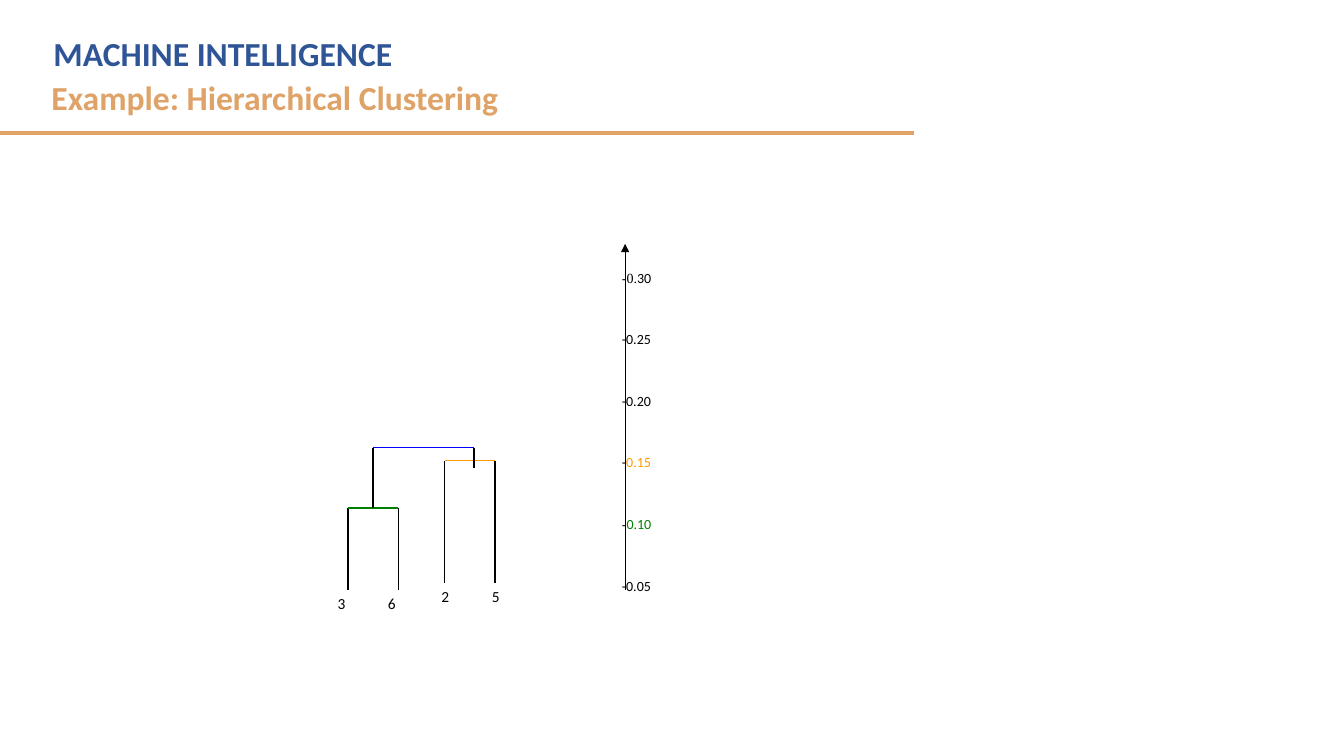
from lxml import etree
from pptx import Presentation
from pptx.dml.color import RGBColor
from pptx.enum.shapes import MSO_CONNECTOR
from pptx.enum.text import MSO_ANCHOR, MSO_AUTO_SIZE, PP_ALIGN
from pptx.oxml.ns import qn
from pptx.util import Inches, Pt

STRAIGHT = MSO_CONNECTOR.STRAIGHT
TOP = MSO_ANCHOR.TOP
LEFT = PP_ALIGN.LEFT
NO_AUTOFIT = MSO_AUTO_SIZE.NONE

BLACK, ORANGE, GREEN, BLUE = "000000", "FF9900", "008000", "0000FF"
NAVY, SAND = "2F5597", "DFA267"
SANS, SERIF = "Calibri", "Times New Roman"

TITLE = ("MACHINE INTELLIGENCE", NAVY, (0.43, 0.28, 8.2, 0.5))
SUBTITLE = ("Example: Hierarchical Clustering", SAND, (0.41, 0.71, 8.75, 0.5))

# Each tick label is a list of (text, font, colour)
SCALE = [
    [("-0.", SERIF, BLACK), ("30", SANS, BLACK)],
    [("-0.25", SANS, BLACK)],
    [("-0.20", SANS, BLACK)],
    [("-", SANS, BLACK), ("0.15", SANS, ORANGE)],
    [("-", SERIF, BLACK), ("0.10", SANS, GREEN)],
    [("-0.05", SANS, BLACK)],
]
TICK_GAP = 32

# Leaf names, label left, first leg x, merge height y, foot y, bar colour
PAIRS = [
    (("3", "6"), 3.25, 3.45, 5.04, 5.85, GREEN),
    (("2", "5"), 4.28, 4.41, 4.57, 5.78, ORANGE),
]
LEAF_GAP = 0.5
# Left x, right x, top y, left foot y, right foot y
ROOT = (3.7, 4.7, 4.44, 5.04, 4.64)


def color(value):
    return RGBColor.from_string(value)


def style(font, size, name, value, bold=False):
    font.size, font.name, font.bold = Pt(size), name, bold
    font.color.rgb = color(value)


def add_line(slide, start, end, value=BLACK, width=1, arrow=False):
    line = slide.shapes.add_connector(
        STRAIGHT, *(Inches(number) for number in (*start, *end)))
    line.line.color.rgb = color(value)
    line.line.width = Pt(width)
    if arrow:
        outline = line.line._get_or_add_ln()
        etree.SubElement(outline, qn("a:tailEnd"), type="triangle")
    etree.SubElement(line._element.spPr, qn("a:effectLst"))


def add_text_box(slide, left, top, width, height):
    box = slide.shapes.add_textbox(
        *(Inches(number) for number in (left, top, width, height)))
    box.text_frame.word_wrap = True
    return box.text_frame


def fill_heading(placeholder, text, value, position):
    placeholder.left, placeholder.top, placeholder.width, placeholder.height = (
        Inches(number) for number in position)
    frame = placeholder.text_frame
    frame.text = text
    frame.auto_size = NO_AUTOFIT
    frame.vertical_anchor = TOP
    paragraph = frame.paragraphs[0]
    paragraph.alignment = LEFT
    paragraph.space_before = Pt(0)
    style(paragraph.font, 24, SANS, value, bold=True)


def add_scale(slide):
    frame = add_text_box(slide, 6.07, 2.62, 0.6, 3.4)
    for index, runs in enumerate(SCALE):
        paragraph = frame.add_paragraph() if index else frame.paragraphs[0]
        paragraph.space_before = Pt(TICK_GAP if index else 0)
        for text, font_name, value in runs:
            run = paragraph.add_run()
            run.text = text
            style(run.font, 10, font_name, value)
    add_line(slide, (6.2, 5.85), (6.2, 2.42), width=0.75, arrow=True)


def add_pair(slide, names, label_left, leg_x, merge_y, foot_y, value):
    for index, name in enumerate(names):
        offset = index * LEAF_GAP
        frame = add_text_box(slide, label_left + offset, foot_y, 0.37, 0.4)
        frame.text = name
        style(frame.paragraphs[0].font, 11, SANS, BLACK)
        x = leg_x + offset
        add_line(slide, (x, foot_y), (x, merge_y))
    add_line(slide, (leg_x, merge_y), (leg_x + LEAF_GAP, merge_y), value)


def add_root(slide):
    left, right, top, left_foot, right_foot = ROOT
    add_line(slide, (right, right_foot), (right, top))
    add_line(slide, (right, top), (left, top), BLUE)
    add_line(slide, (left, top), (left, left_foot))


def main():
    presentation = Presentation()
    presentation.slide_width = Inches(13.33)
    presentation.slide_height = Inches(7.5)
    slide = presentation.slides.add_slide(presentation.slide_layouts[0])
    fill_heading(slide.shapes.title, *TITLE)
    fill_heading(slide.placeholders[1], *SUBTITLE)
    add_line(slide, (0, 1.32), (9.07, 1.32), SAND, 3)
    add_scale(slide)
    for pair in PAIRS:
        add_pair(slide, *pair)
    add_root(slide)
    presentation.save("out.pptx")


if __name__ == "__main__":
    main()
